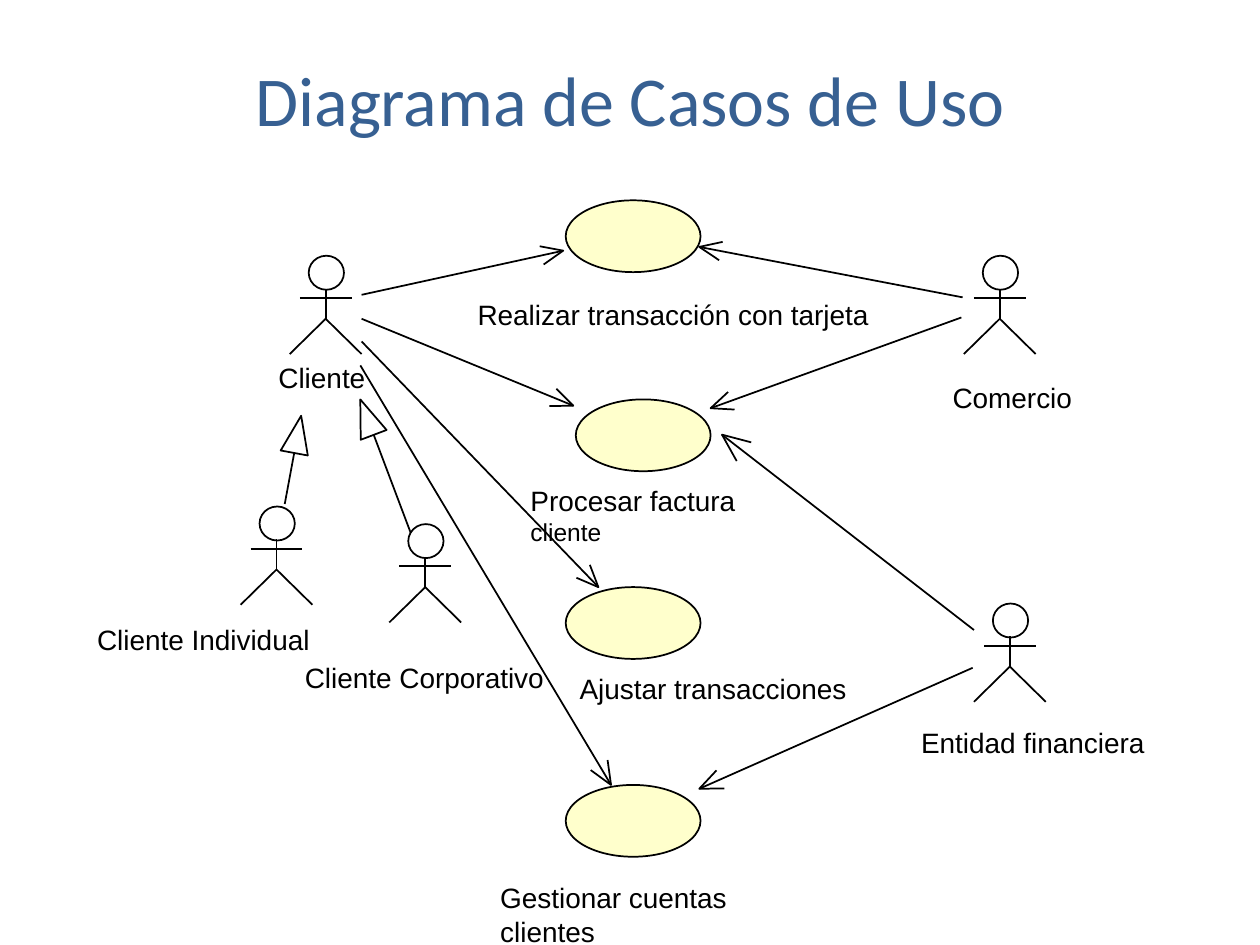
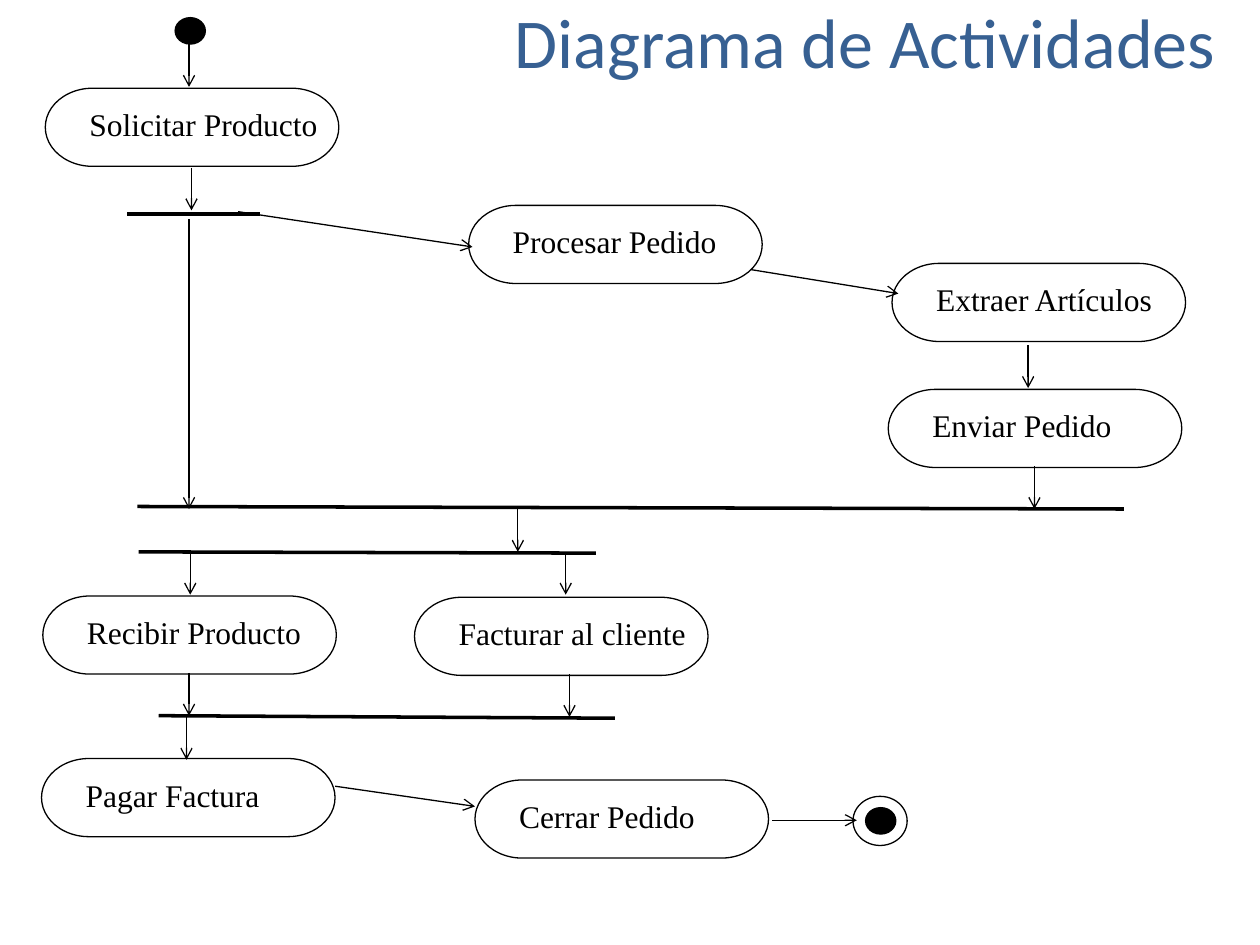
from dataclasses import dataclass
from math import atan2, cos, radians, sin

from lxml.etree import SubElement
from pptx import Presentation
from pptx.dml.color import RGBColor
from pptx.enum.shapes import MSO_CONNECTOR, MSO_SHAPE
from pptx.enum.text import MSO_ANCHOR, MSO_AUTO_SIZE, PP_ALIGN
from pptx.oxml.ns import qn
from pptx.util import Inches, Pt


@dataclass(frozen=True)
class Theme:
    ink: str = "000000"
    paper: str = "FFFFFF"
    blue: str = "376092"
    cream: str = "FFFFCC"
    head: str = "Calibri"
    sans: str = "Arial"
    serif: str = "Times New Roman"
    big: float = 40
    step: float = 18
    label: float = 16
    small: float = 14
    thin: float = 0.75
    plain: float = 1
    thick: float = 2


LOOK = Theme()
WIDE, HIGH = Inches(10), Inches(7.5)
COLS, ROWS = 100, 75
TITLE_ONLY = 5


def col(count):
    return round(count * WIDE / COLS)


def row(count):
    return round(count * HIGH / ROWS)


def place(left, top, wide, high):
    return col(left), row(top), col(wide), row(high)


def write(frame, text, size=LOOK.label, face=LOOK.sans, tint=LOOK.ink,
          align=PP_ALIGN.LEFT, space=None):
    para = frame.paragraphs[0]
    para.alignment = align
    para.line_spacing = space
    run = para.add_run()
    run.text = text
    run.font.size = Pt(size)
    run.font.name = face
    run.font.color.rgb = RGBColor.from_string(tint)


def pad(frame, left=0, top=0, right=0, base=0):
    frame.margin_left, frame.margin_right = col(left), col(right)
    frame.margin_top, frame.margin_bottom = row(top), row(base)


def dress(shape, fill=None, width=LOOK.plain):
    shape.shadow.inherit = False
    if fill:
        shape.fill.solid()
        shape.fill.fore_color.rgb = RGBColor.from_string(fill)
    else:
        shape.fill.background()
    shape.line.color.rgb = RGBColor.from_string(LOOK.ink)
    shape.line.width = Pt(width)
    return shape


def start(deck, text, box, **form):
    slide = deck.slides.add_slide(deck.slide_layouts[TITLE_ONLY])
    title = slide.shapes.title
    title.left, title.top, title.width, title.height = place(*box)
    frame = title.text_frame
    frame.auto_size = MSO_AUTO_SIZE.NONE
    frame.vertical_anchor = MSO_ANCHOR.MIDDLE
    write(frame, text, size=LOOK.big, face=LOOK.head, tint=LOOK.blue,
          align=PP_ALIGN.CENTER, **form)
    return slide.shapes


def oval(shapes, box, **form):
    return dress(shapes.add_shape(MSO_SHAPE.OVAL, *place(*box)), **form)


def line(shapes, x1, y1, x2, y2, width=LOOK.plain, arrow=False):
    link = shapes.add_connector(MSO_CONNECTOR.STRAIGHT,
                                col(x1), row(y1), col(x2), row(y2))
    link.line.color.rgb = RGBColor.from_string(LOOK.ink)
    link.line.width = Pt(width)
    if arrow:
        SubElement(link.line._get_or_add_ln(), qn("a:tailEnd"), type="arrow")
    SubElement(link._element.spPr, qn("a:effectLst"))


def trace(shapes, points, close=False, fill=None):
    (x, y), *rest = [(col(a), row(b)) for a, b in points]
    pen = shapes.build_freeform(x, y)
    pen.add_line_segments(rest, close=close)
    dress(pen.convert_to_shape(), fill=fill)


def wedge(shapes, x1, y1, x2, y2, reach, spread, **form):
    line(shapes, x1, y1, x2, y2)
    back = atan2(y1 - y2, x1 - x2)
    barbs = [(x2 + reach * cos(back + turn), y2 + reach * sin(back + turn))
             for turn in (radians(spread), -radians(spread))]
    trace(shapes, [barbs[0], (x2, y2), barbs[1]], **form)


def label(shapes, text, left, top, wide, tail=None):
    frame = shapes.add_textbox(*place(left, top, wide, 2.7)).text_frame
    frame.word_wrap = False
    frame.auto_size = MSO_AUTO_SIZE.SHAPE_TO_FIT_TEXT
    pad(frame)
    write(frame, text)
    if tail:
        write(frame, tail, size=LOOK.small)


def actor(shapes, left, top):
    mid = left + 2.85
    oval(shapes, (left + 1.5, top, 2.8, 2.7))
    line(shapes, mid, top + 2.6, mid, top + 5)
    line(shapes, left + 0.8, top + 3.35, left + 4.9, top + 3.35)
    trace(shapes, [(left, top + 7.8), (mid, top + 5), (left + 5.7, top + 7.8)])


def step(shapes, text, left, top):
    box = place(left, top, 23.3, 6.2)
    node = dress(shapes.add_shape(MSO_SHAPE.FLOWCHART_TERMINATOR, *box),
                 width=LOOK.thin)
    frame = node.text_frame
    frame.word_wrap = True
    frame.vertical_anchor = MSO_ANCHOR.MIDDLE
    pad(frame, left=2.4, base=0.5)
    write(frame, text, size=LOOK.step, face=LOOK.serif)


def draw_cases(deck):
    shapes = start(deck, "Diagrama de Casos de Uso", (7.5, 1.6, 85, 12.5))

    for left, top, text, x, y, wide in (
        (76.5, 20.3, "Comercio", 75.6, 30.2, 9.5),
        (77.3, 47.9, "Entidad financiera", 73.1, 57.6, 17.8),
        (19.1, 40.2, "Cliente Individual", 7.7, 49.4, 16.9),
        (30.9, 41.6, "Cliente Corporativo", 24.2, 52.4, 19),
        (23, 20.3, "Cliente", 22.1, 28.6, 6.9),
    ):
        actor(shapes, left, top)
        label(shapes, text, x, y, wide)

    for left, top, text, x, y, wide, tail in (
        (44.9, 15.9, "Realizar transacción con tarjeta", 37.9, 23.6, 31.1, None),
        (45.7, 31.7, "Procesar factura ", 42.1, 38.4, 22.5, "cliente"),
        (44.9, 46.6, "Ajustar transacciones", 46, 53.3, 21.2, None),
        (44.9, 62.3, "Gestionar cuentas clientes", 39.7, 69.9, 26.1, None),
    ):
        oval(shapes, (left, top, 10.7, 5.7), fill=LOOK.cream)
        label(shapes, text, x, y, wide, tail=tail)

    for *ends, reach in (
        (76.4, 23.6, 55.5, 19.6, 1.9),
        (76.3, 25.2, 56.4, 32.4, 1.9),
        (77.3, 50, 57.3, 34.5, 2.4),
        (77.2, 53, 55.5, 62.6, 2),
        (28.7, 23.4, 44.7, 19.9, 1.9),
        (28.7, 25.3, 45.5, 32.2, 1.9),
        (28.7, 27.1, 47.5, 46.6, 1.9),
        (28.6, 29, 48.5, 62.3, 2),
    ):
        wedge(shapes, *ends, reach, 23)

    for ends in ((22.6, 40, 23.9, 33), (32.6, 42.3, 28.6, 31.7)):
        wedge(shapes, *ends, 3.2, 20, close=True, fill=LOOK.paper)


def draw_steps(deck):
    shapes = start(deck, "Diagrama de Actividades",
                   (32.7, -0.4, 71.9, 8.1), space=0.9)

    for text, left, top in (
        ("Solicitar Producto", 3.6, 7),
        ("Procesar Pedido", 37.2, 16.3),
        ("Extraer Artículos", 70.8, 20.9),
        ("Enviar Pedido", 70.5, 30.9),
        ("Recibir Producto", 3.4, 47.3),
        ("Facturar al cliente", 32.9, 47.4),
        ("Pagar Factura", 3.3, 60.2),
        ("Cerrar Pedido", 37.7, 61.9),
    ):
        step(shapes, text, left, top)

    for bar in (
        (10.1, 17, 20.6, 17),
        (10.9, 40.2, 89.2, 40.4),
        (11, 43.8, 47.3, 43.9),
        (12.6, 56.8, 48.8, 57),
    ):
        line(shapes, *bar, width=LOOK.thick)

    drops = [(x, top, x, top + 3.4) for x, top in (
        (15, 3.5), (15.2, 13.3), (81.6, 27.4), (82.1, 37), (41.1, 40.4),
        (15.1, 43.8), (44.9, 43.8), (15, 53.4), (45.2, 53.5), (14.8, 56.9),
    )]
    flows = [
        (15, 17.4, 15, 40.4),
        (18.9, 16.8, 37.5, 19.6),
        (59.6, 21.4, 71.3, 23.3),
        (26.6, 62.4, 37.7, 64),
        (61.3, 65.1, 68, 65.1),
    ]
    for ends in drops + flows:
        line(shapes, *ends, width=LOOK.thin, arrow=True)

    for left, top in ((13.9, 1.4), (68.7, 64.1)):
        oval(shapes, (left, top, 2.4, 2.1), fill=LOOK.ink, width=LOOK.thin)
    oval(shapes, (67.7, 63.2, 4.3, 3.9), width=LOOK.thin)


def main():
    deck = Presentation()
    deck.slide_width, deck.slide_height = WIDE, HIGH
    draw_cases(deck)
    draw_steps(deck)
    deck.save("out.pptx")


if __name__ == "__main__":
    main()
